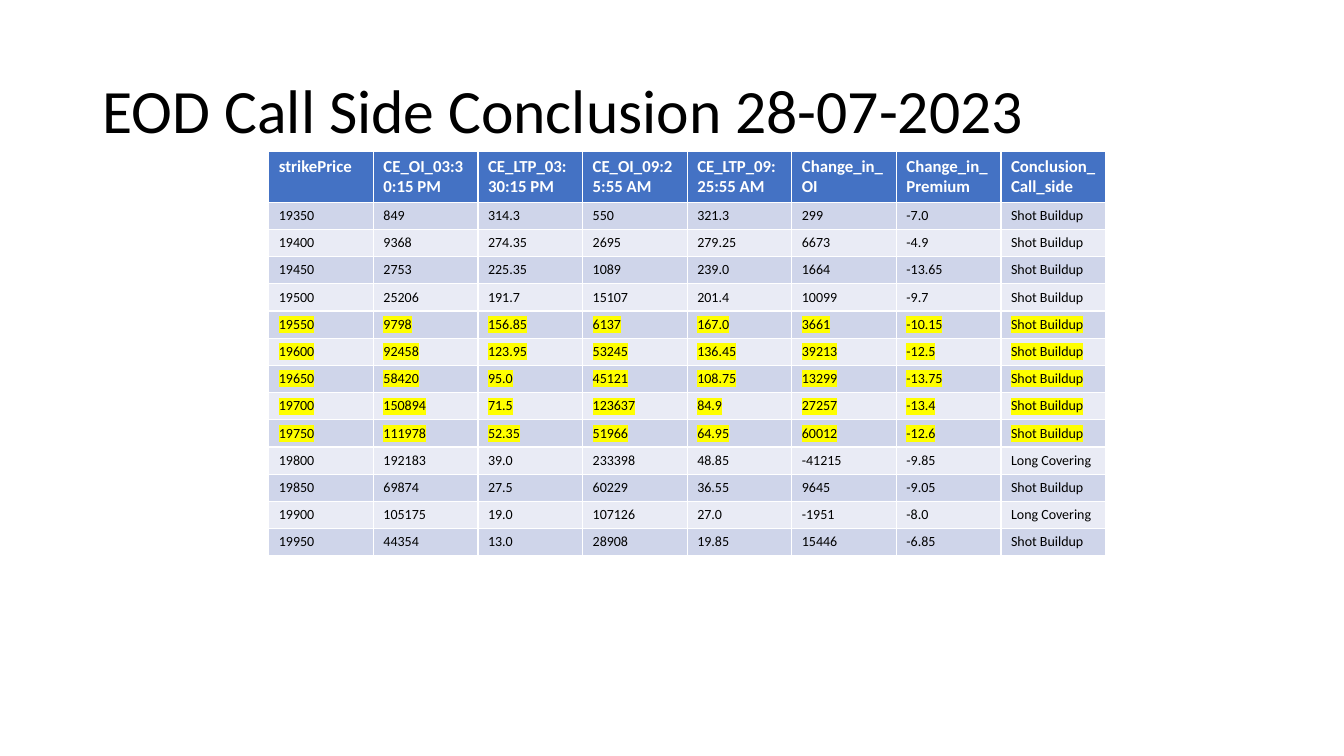
from lxml import etree
from pptx import Presentation, util as u
from pptx.dml.color import RGBColor
from pptx.enum import text
from pptx.oxml.ns import qn

WIDTH, HEIGHT = 13.33, 7.5
FONT = "Calibri"
HEADER_FILL, BANDS = "4472C4", ("CFD5EA", "E9EBF5")
HEADER_HEIGHT, ROW_HEIGHT = 0.49, 0.27
MARKED_STRIKES = range(19550, 19751, 50)

HEADERS = ["strikePrice", "CE_OI_03:30:15 PM", "CE_LTP_03:30:15 PM",
           "CE_OI_09:25:55 AM", "CE_LTP_09:25:55 AM", "Change_in_OI",
           "Change_in_Premium", "Conclusion_Call_side"]
SHORT, LONG = "Shot Buildup", "Long Covering"
STRIKES = [
    ("19350", "849", "314.3", "550", "321.3", "299", "-7.0", SHORT),
    ("19400", "9368", "274.35", "2695", "279.25", "6673", "-4.9", SHORT),
    ("19450", "2753", "225.35", "1089", "239.0", "1664", "-13.65", SHORT),
    ("19500", "25206", "191.7", "15107", "201.4", "10099", "-9.7", SHORT),
    ("19550", "9798", "156.85", "6137", "167.0", "3661", "-10.15", SHORT),
    ("19600", "92458", "123.95", "53245", "136.45", "39213", "-12.5", SHORT),
    ("19650", "58420", "95.0", "45121", "108.75", "13299", "-13.75", SHORT),
    ("19700", "150894", "71.5", "123637", "84.9", "27257", "-13.4", SHORT),
    ("19750", "111978", "52.35", "51966", "64.95", "60012", "-12.6", SHORT),
    ("19800", "192183", "39.0", "233398", "48.85", "-41215", "-9.85", LONG),
    ("19850", "69874", "27.5", "60229", "36.55", "9645", "-9.05", SHORT),
    ("19900", "105175", "19.0", "107126", "27.0", "-1951", "-8.0", LONG),
    ("19950", "44354", "13.0", "28908", "19.85", "15446", "-6.85", SHORT),
]


def rgb(value):
    return RGBColor.from_string(value)


def add_run(p, words, size, color="000000", bold=False, highlight=None):
    r = p.add_run()
    r.text = words
    r.font.size, r.font.bold = u.Pt(size), bold
    r.font.color.rgb = rgb(color)
    if highlight:  # sits between the text fill and the typeface
        mark = etree.SubElement(r.font._element, qn("a:highlight"))
        etree.SubElement(mark, qn("a:srgbClr"), val=highlight)
    r.font.name = FONT


def add_title(s, box, words):
    title = s.shapes.title
    title.left, title.top, title.width, title.height = map(u.Inches, box)
    tf = title.text_frame
    tf.vertical_anchor = text.MSO_ANCHOR.MIDDLE
    p = tf.paragraphs[0]
    p.alignment, p.line_spacing = text.PP_ALIGN.LEFT, 0.9
    add_run(p, words, 44)


def fill_row(table, row, values, fill, **style):
    for column, value in enumerate(values):
        cell = table.cell(row, column)
        cell.fill.solid()
        cell.fill.fore_color.rgb = rgb(fill)
        add_run(cell.text_frame.paragraphs[0], value, **style)


def add_strike_table(s, left, top, width):
    height = HEADER_HEIGHT + ROW_HEIGHT * len(STRIKES)
    table = s.shapes.add_table(len(STRIKES) + 1, len(HEADERS),
                               *map(u.Inches, (left, top, width, height))).table
    for column in table.columns:
        column.width = u.Inches(width / len(HEADERS))
    for row in table.rows:
        row.height = u.Inches(ROW_HEIGHT)
    table.rows[0].height = u.Inches(HEADER_HEIGHT)

    # Header, then banded rows with the marked strikes highlighted
    fill_row(table, 0, HEADERS, HEADER_FILL, size=12, color="FFFFFF", bold=True)
    for i, values in enumerate(STRIKES):
        marked = int(values[0]) in MARKED_STRIKES
        fill_row(table, i + 1, values, BANDS[i % 2], size=10,
                 highlight="FFFF00" if marked else None)


def main():
    prs = Presentation()
    prs.slide_width, prs.slide_height = u.Inches(WIDTH), u.Inches(HEIGHT)
    s = prs.slides.add_slide(prs.slide_layouts[5])
    add_title(s, (0.92, 0.4, 11.5, 1.45), "EOD Call Side Conclusion 28-07-2023")
    add_strike_table(s, WIDTH * 0.2, HEIGHT * 0.2, 8.3)
    prs.save("out.pptx")


if __name__ == "__main__":
    main()
